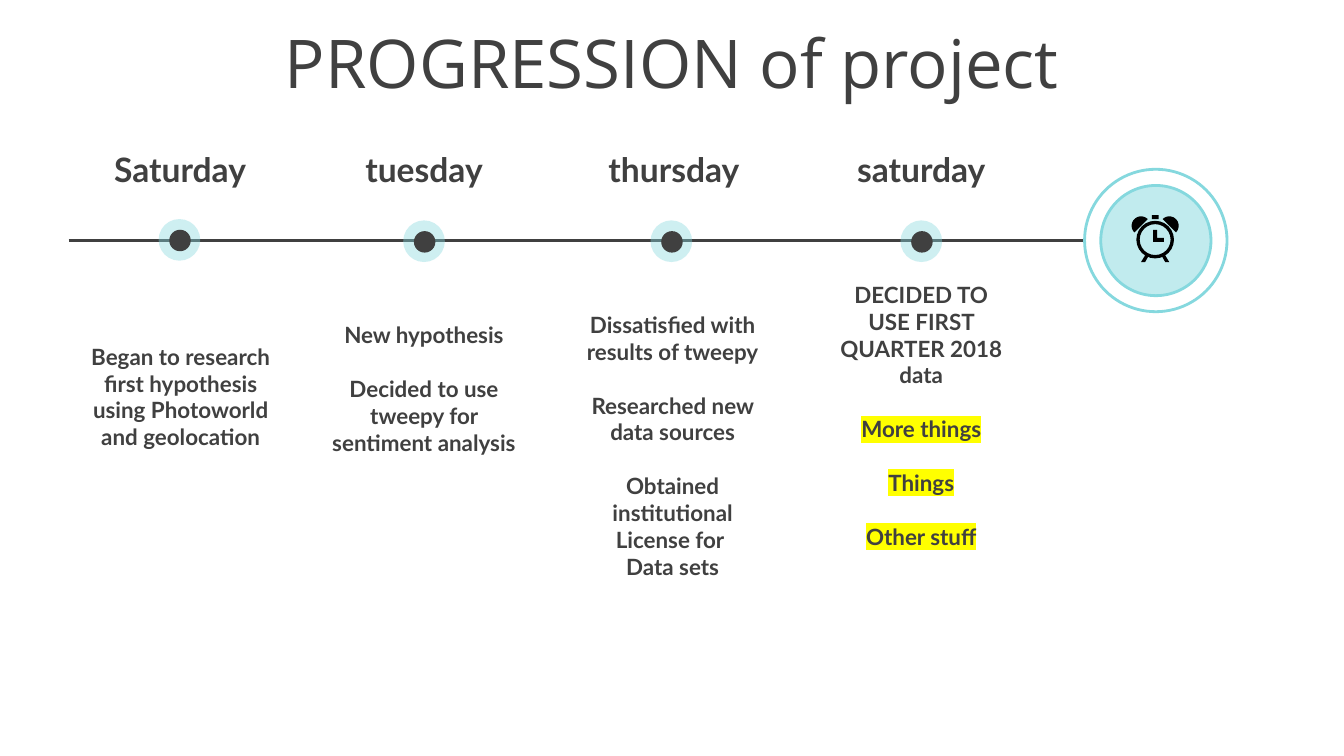
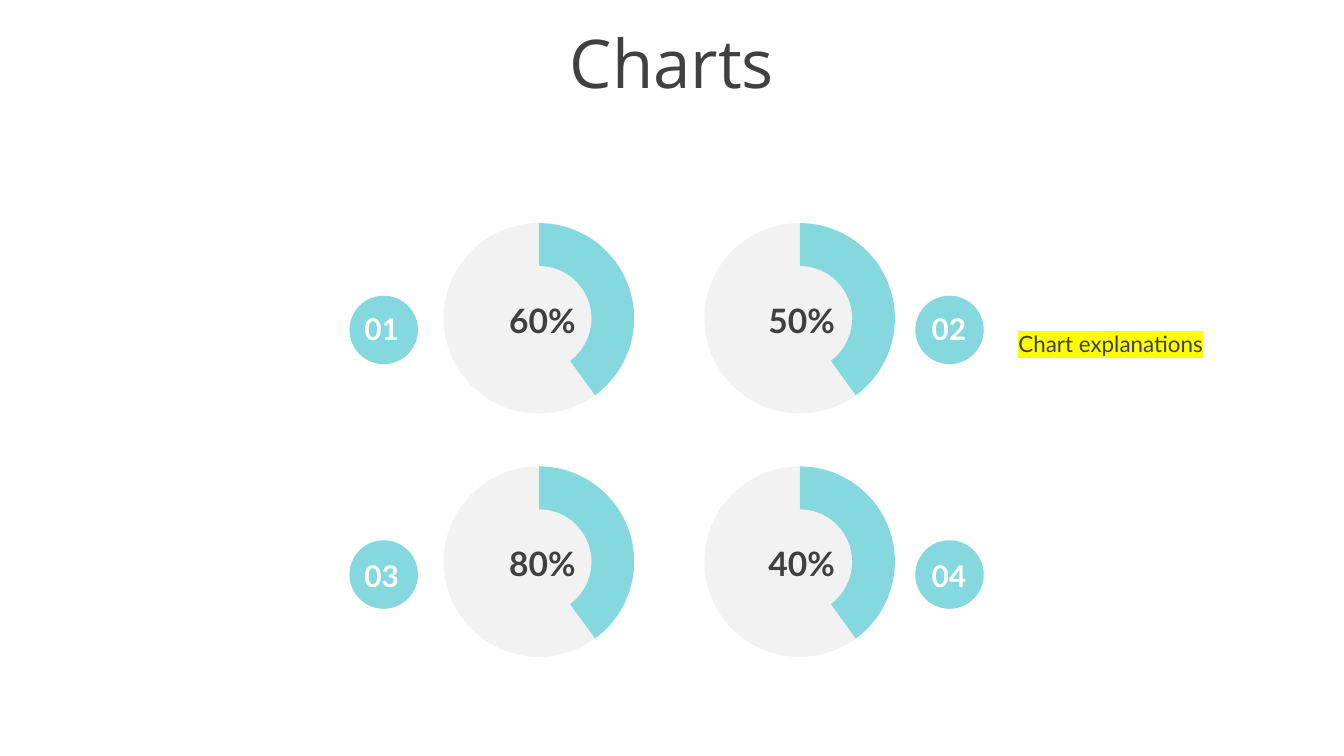
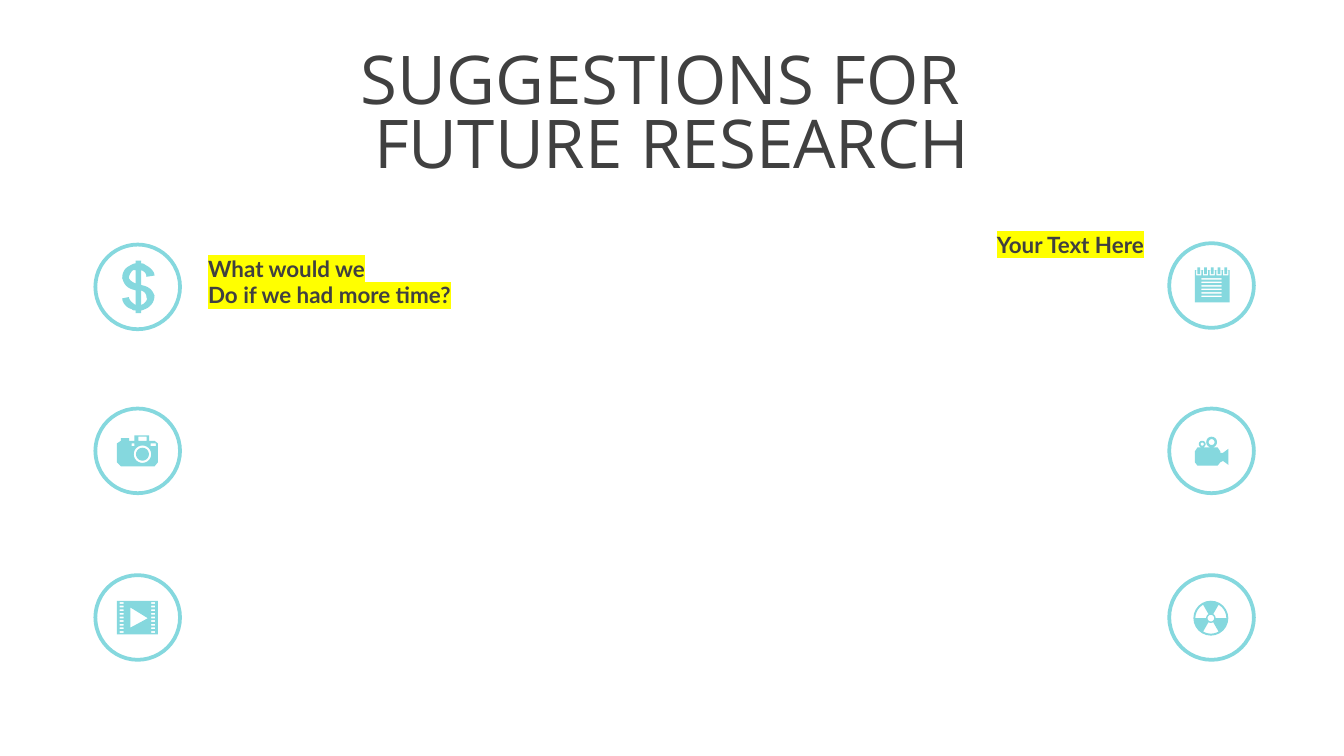
from collections import namedtuple
from math import cos, radians, sin

from lxml import etree
from pptx import Presentation
from pptx.chart.data import CategoryChartData
from pptx.dml.color import RGBColor
from pptx.enum.chart import XL_CHART_TYPE
from pptx.enum.shapes import MSO_CONNECTOR, MSO_SHAPE
from pptx.enum.text import MSO_ANCHOR, MSO_AUTO_SIZE, PP_ALIGN
from pptx.oxml.ns import qn
from pptx.util import Pt

OVAL = MSO_SHAPE.OVAL
STRAIGHT = MSO_CONNECTOR.STRAIGHT
RING = XL_CHART_TYPE.DOUGHNUT
MIDDLE = MSO_ANCHOR.MIDDLE
FIXED = MSO_AUTO_SIZE.NONE
LEFT, MID, RIGHT = PP_ALIGN.LEFT, PP_ALIGN.CENTER, PP_ALIGN.RIGHT

PX = 9144  # 100 px to the inch
UNIT = PX / 10  # fine grid for icons
WIDE = 1000
HEAD, BODY = "Open Sans", "Lato"
TITLE = (0, 14, WIDE, 63)
GAP = 14.4  # one line of body text, in points
COLORS = {
    "ink": "404040",
    "teal": "85D8DE",
    "pale": "F2F2F2",
    "white": "FFFFFF",
    "black": "000000",
    "mark": "FFFF00",
}

Para = namedtuple("Para", "text mark gap", defaults=(False, 0))


def px(n):
    return int(n * PX)


def rgb(name):
    return RGBColor.from_string(COLORS[name])


# Text

def write(frame, paras, size, color="ink", bold=True, align=MID, font=BODY):
    frame.word_wrap = True
    frame.auto_size = FIXED
    frame.vertical_anchor = MIDDLE
    for i, para in enumerate(paras):
        p = frame.paragraphs[0] if i == 0 else frame.add_paragraph()
        p.alignment = align
        p.space_before = Pt(para.gap)
        run = p.add_run()
        run.text = para.text
        run.font.size = Pt(size)
        run.font.bold = bold
        run.font.color.rgb = rgb(color)
        run.font.name = font
        if para.mark:
            fill = run.font._element.find(qn("a:solidFill"))
            light = etree.Element(qn("a:highlight"))
            etree.SubElement(light, qn("a:srgbClr"), val=COLORS["mark"])
            fill.addnext(light)


def label(slide, box, paras, size, **style):
    shape = slide.shapes.add_textbox(*map(px, box))
    write(shape.text_frame, paras, size, **style)


def title(slide, text, box=TITLE):
    shape = slide.shapes.title
    shape.left, shape.top, shape.width, shape.height = map(px, box)
    write(shape.text_frame, [Para(text)], 36, bold=False, font=HEAD)


# Shapes

def disc(slide, x, y, size, fill, line=None, width=2, alpha=100):
    shape = slide.shapes.add_shape(OVAL, px(x), px(y), px(size), px(size))
    shape.shadow.inherit = False
    shape.fill.solid()
    shape.fill.fore_color.rgb = rgb(fill)
    if alpha < 100:
        color = shape.element.spPr.find(qn("a:solidFill"))[0]
        etree.SubElement(color, qn("a:alpha"), val=str(alpha * 1000))
    if line:
        shape.line.color.rgb = rgb(line)
        shape.line.width = Pt(width)
    else:
        shape.line.fill.background()


def rule(slide, x1, y1, x2, y2):
    line = slide.shapes.add_connector(STRAIGHT, px(x1), px(y1), px(x2), px(y2))
    line.line.color.rgb = rgb("ink")
    line.line.width = Pt(2)
    etree.SubElement(line.element.spPr, qn("a:effectLst"))


def donut(slide, x, y):
    data = CategoryChartData()
    data.categories = ["1", "2"]
    data.add_series("Series 1", (40, 60))
    chart = slide.shapes.add_chart(
        RING, px(x), px(y), px(142), px(147), data).chart
    chart.has_legend = False
    chart.has_title = False
    chart.font.size = Pt(18)
    chart.font.name = BODY
    chart.font.color.rgb = rgb("black")
    plot = chart.plots[0]
    plot.vary_by_categories = False
    for i, name in enumerate(("teal", "pale")):
        form = plot.series[0].points[i].format
        form.fill.solid()
        form.fill.fore_color.rgb = rgb(name)
        form.line.fill.background()
    # Hole size and plot area
    root = chart._chartSpace
    root.xpath("//c:holeSize")[0].set("val", "75")
    area = root.xpath("//c:plotArea")[0]
    for old in area.findall(qn("c:layout")):
        area.remove(old)
    layout = etree.Element(qn("c:layout"))
    area.insert(0, layout)
    man = etree.SubElement(layout, qn("c:manualLayout"))
    for tag, val in (("layoutTarget", "inner"), ("xMode", "edge"),
                     ("yMode", "edge"), ("x", "0"), ("y", "0"),
                     ("w", "1"), ("h", "0.965")):
        etree.SubElement(man, qn("c:" + tag), val=val)


# Icon outlines, in fine units

def arc(cx, cy, r, start=0, end=360):
    turns = [radians(start + (end - start) * i / 24) for i in range(25)]
    return [(cx + r * cos(t), cy + r * sin(t)) for t in turns]


def box(x, y, w, h):
    return [(x, y), (x + w, y), (x + w, y + h), (x, y + h)]


def wedge(cx, cy, near, far, start):
    return arc(cx, cy, far, start, start + 60) + arc(cx, cy, near, start + 60, start)


def curve(*steps):
    """Trace points; a step of six numbers is a Bezier curve."""
    points = []
    for step in steps:
        if len(step) == 2:
            points.append(step)
            continue
        a, b, c, d = points[-1], step[:2], step[2:4], step[4:]
        for i in range(1, 9):
            t = i / 8
            u = 1 - t
            points.append(tuple(
                u**3 * a[k] + 3 * u * u * t * b[k] + 3 * u * t * t * c[k] + t**3 * d[k]
                for k in (0, 1)))
    return points


def icon(slide, x, y, paths, fill="teal"):
    pen = None
    for path in paths:
        spots = [(px(x) + u * UNIT, px(y) + v * UNIT) for u, v in path]
        if pen is None:
            pen = slide.shapes.build_freeform(*spots[0], scale=1.0)
        else:
            pen.move_to(*spots[0])
        pen.add_line_segments(spots[1:], close=True)
    shape = pen.convert_to_shape()
    shape.shadow.inherit = False
    shape.fill.solid()
    shape.fill.fore_color.rgb = rgb(fill)
    shape.line.fill.background()


def clock():
    leg = [(100, 300), (70, 350), (100, 350), (122, 312)]
    return [
        arc(175, 183, 140), arc(175, 183, 115),
        [(160, 110), (190, 110), (190, 170), (240, 170), (240, 200), (160, 200)],
        arc(70, 80, 70, 135, 315), arc(280, 80, 70, 225, 405),
        leg, [(350 - u, v) for u, v in leg], box(150, 0, 50, 30),
    ]


def dollar():
    return [
        curve((100, 0), (140, 0), (140, 20), (150, 20, 160, 20, 170, 30),
              (210, 50, 240, 80, 240, 110), (180, 120),
              (180, 100, 170, 80, 140, 70), (140, 180),
              (180, 190, 220, 200, 240, 260), (240, 300, 220, 330, 190, 350),
              (170, 360, 150, 370, 140, 370), (140, 390), (100, 390), (100, 370),
              (90, 370, 80, 370, 70, 360), (30, 350, 0, 310, 0, 280), (50, 270),
              (50, 290, 70, 310, 100, 330), (100, 220),
              (60, 210, 20, 200, 0, 130), (0, 100, 10, 60, 50, 40),
              (70, 30, 80, 20, 100, 20)),
        curve((140, 220), (140, 330), (160, 320),
              (180, 300, 190, 290, 180, 270), (180, 240, 160, 230, 140, 220)),
        curve((100, 70), (80, 70), (60, 90, 50, 110, 50, 130),
              (60, 150, 80, 160, 100, 170)),
    ]


def camera():
    return [
        [(0, 60), (30, 40), (30, 20), (90, 20), (90, 40), (130, 40), (130, 0),
         (240, 0), (240, 40), (280, 40), (305, 60), (305, 200), (280, 230),
         (30, 230), (0, 200)],
        arc(190, 140, 65), arc(190, 140, 48),
        box(110, 60, 20, 20), box(250, 60, 40, 20), box(160, 10, 60, 30),
    ]


def film():
    holes = [box(u, 10 + 27 * i, 30, 13) for u in (20, 255) for i in range(9)]
    return [box(0, 0, 305, 250), [(100, 50), (100, 200), (230, 130)]] + holes


def pad():
    slots = [box(10 + 50 * i, 20, 40, 40) for i in range(5)]
    rings = [box(20 + 50 * i, 0, 20, 50) for i in range(5)]
    rows = [box(50, 80 + 26 * i, 150, 11) for i in range(6)]
    return [box(0, 20, 260, 240)] + slots + rings + rows


def movie():
    return [
        [(0, 110), (20, 80), (170, 80), (190, 110), (190, 120), (210, 120),
         (250, 90), (250, 210), (210, 180), (190, 190), (170, 215), (20, 215),
         (0, 190)],
        arc(55, 55, 25), arc(55, 55, 12), arc(125, 40, 40), arc(125, 40, 22),
    ]


def atom():
    cuts = [wedge(130, 130, 35, 115, a) for a in (60, 180, 300)]
    return [arc(130, 130, 130), arc(130, 130, 25)] + cuts


# Slides

def progress(slide):
    title(slide, "PROGRESSION of project")
    rule(slide, 51, 179, 829, 179)
    disc(slide, 807, 126, 106, "white", "teal", 1.5)
    disc(slide, 819, 138, 82, "teal", "teal", 1.5, alpha=50)
    icon(slide, 842, 160, clock(), "black")
    # Each stop: dot corner, heading left and width, note box, note
    stops = [
        (118, 163, "Saturday", 48, 172, (53, 209, 163, 172), [
            Para("Began to research first hypothesis using Photoworld and geolocation")]),
        (300, 164, "tuesday", 233, 165, (234, 203, 163, 172), [
            Para("New hypothesis"),
            Para("Decided to use tweepy for sentiment analysis", gap=GAP)]),
        (484, 164, "thursday", 410, 183, (418, 205, 165, 253), [
            Para("Dissatisfied with results of tweepy"),
            Para("Researched new data sources", gap=GAP),
            Para("Obtained institutional", gap=GAP),
            Para("License for "),
            Para("Data sets")]),
        (670, 164, "saturday", 594, 183, (609, 203, 153, 212), [
            Para("DECIDED TO USE FIRST QUARTER 2018 data"),
            Para("More things", True, GAP),
            Para("Things", True, GAP),
            Para("Other stuff", True, GAP)]),
    ]
    for x, y, day, left, width, area, note in stops:
        disc(slide, x, y, 31, "teal", alpha=40)
        disc(slide, x + 8, y + 8, 16, "ink")
        label(slide, (left, 106, width, 40), [Para(day)], 18)
        label(slide, area, note, 12)


def charts(slide):
    title(slide, "Charts")
    shares = ("60%", "50%", "80%", "40%")
    for i, share in enumerate(shares):
        row, col = divmod(i, 2)
        x, y = 330 + 194 * col, 166 + 181 * row
        donut(slide, x, y)
        disc(slide, x + 32, y + 32, 78, "pale")
        label(slide, (x + 38 - col, y + 52, 71, 40), [Para(share)], 18)
        x, y = 260 + 421 * col, 220 + 182 * row
        disc(slide, x, y, 51, "teal")
        label(slide, (x + 1 + col, y + 6 + 2 * row, 46, 37),
              [Para(f"{i + 1:02}")], 16, color="white")
    label(slide, (748, 231, 220, 50), [Para("Chart explanations", True)], 12,
          bold=False, align=LEFT)


def future(slide):
    title(slide, "SUGGESTIONS FOR ", (-2, 11, WIDE, 93))
    label(slide, (0, 59, WIDE, 93), [Para("FUTURE RESEARCH")], 36,
          bold=False, font=HEAD)
    label(slide, (145, 174, 211, 71),
          [Para("What would we", True), Para("Do if we had more time?", True)],
          12, align=LEFT)
    label(slide, (650, 167, 211, 30), [Para("Your Text Here", True)], 12,
          align=RIGHT)
    for x, top in ((71, 182), (870, 181)):
        for y in (top, 304, 428):
            disc(slide, x, y, 63, "white", "teal")
    for x, y, paths in ((91, 194, dollar()), (87, 324, camera()),
                        (87, 447, film()), (889, 199, pad()),
                        (889, 325, movie()), (888, 447, atom())):
        icon(slide, x, y, paths)


def main():
    prs = Presentation()
    prs.slide_width = px(WIDE)
    prs.slide_height = px(WIDE) * 9 // 16
    for draw in (progress, charts, future):
        draw(prs.slides.add_slide(prs.slide_layouts[5]))
    prs.save("out.pptx")


if __name__ == "__main__":
    main()
